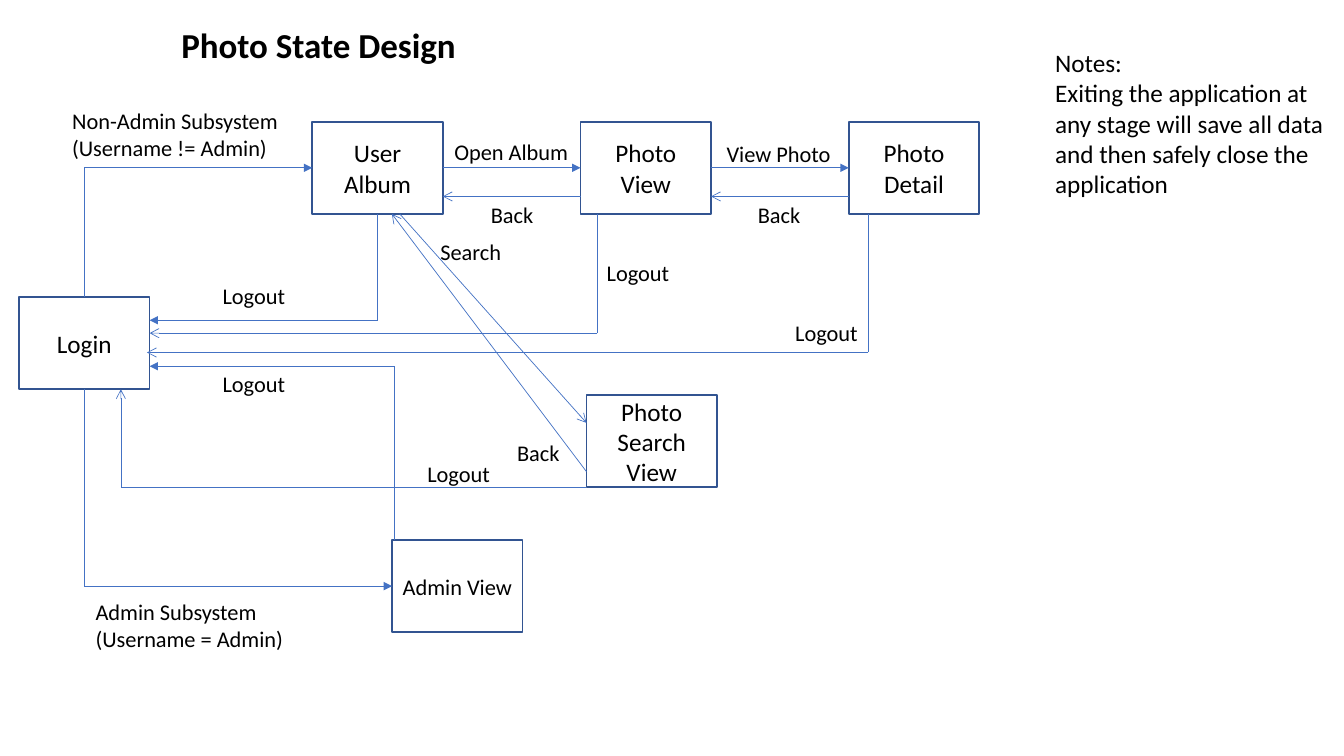
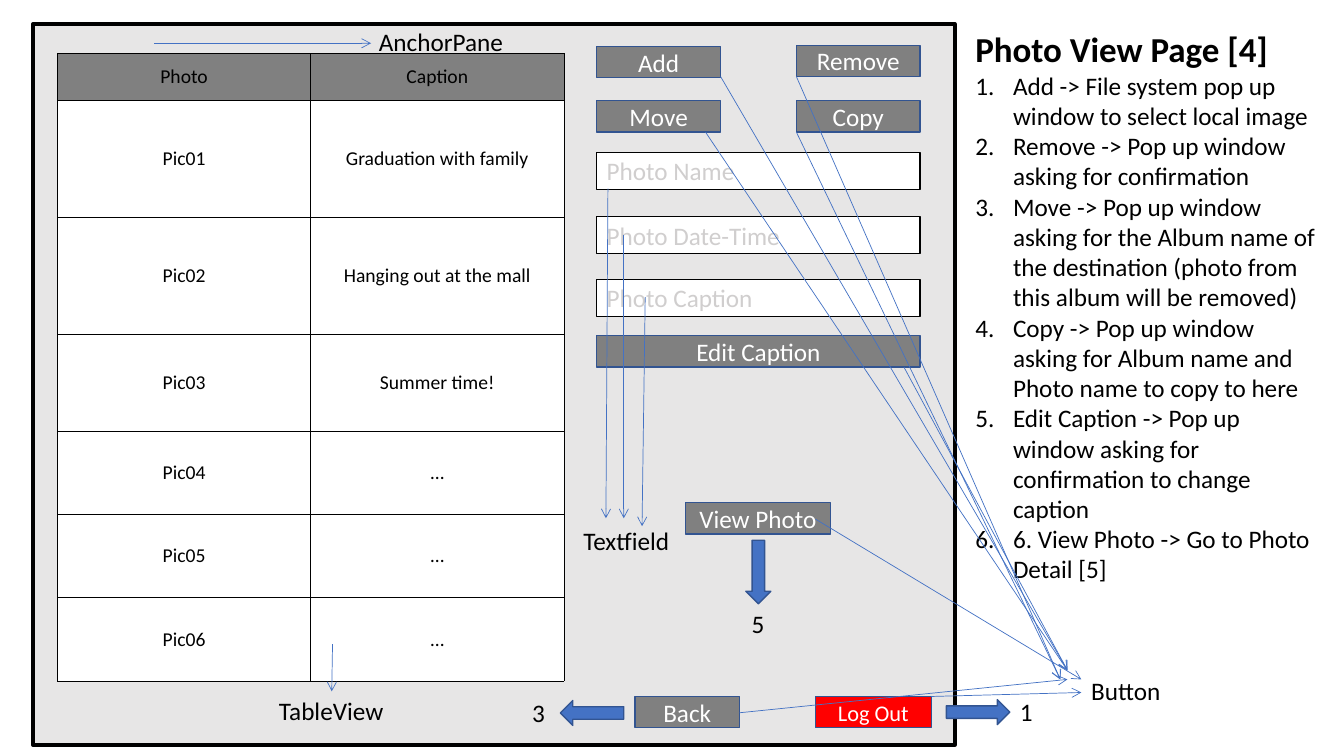
from dataclasses import dataclass
from pptx import Presentation
from pptx.dml.color import RGBColor
from pptx.enum.shapes import MSO_CONNECTOR as CONN, MSO_SHAPE as SHAPE
from pptx.enum.text import MSO_ANCHOR as ANCHOR, PP_ALIGN as ALIGN
from pptx.oxml import parse_xml
from pptx.oxml.ns import nsdecls, qn
from pptx.util import Cm, Pt


@dataclass(frozen=True)
class Theme:
    font: str = "Calibri"
    ink: str = "000000"
    paper: str = "FFFFFF"
    accent: str = "4472C4"
    edge: str = "325491"
    pane: str = "E7E6E6"
    button: str = "808080"
    danger: str = "FF0000"
    hint: str = "D0CECE"
    title: int = 25
    body: int = 18
    label: int = 16
    cell: int = 14
    box_line: float = 1.25
    thin_line: float = 0.5
    control_line: float = 1
    pane_line: float = 3


T = Theme()

STATE_TITLE = (4.32, 0.46, 9.7, 1.32, "Photo State Design")
NOTES = (26.34, 1.07, 7.32, 4.88, [
    "Notes:",
    "Exiting the application at any stage will save all data "
    "and then safely close the application",
])
BOX_W, BOX_H = 3.29, 2.32
STATES = {
    "Login": (0.48, 7.49, T.body),
    "User Album": (7.87, 3.07, T.body),
    "Photo View": (14.63, 3.07, T.body),
    "Photo Detail": (21.39, 3.07, T.body),
    "Photo Search View": (14.78, 9.96, T.body),
    "Admin View": (9.88, 13.61, T.label),
}
TRANSITIONS = [
    ("Login", 0.5, 0, "vertical", "User Album", 0, 0.5, "triangle"),
    ("Login", 0.5, 1, "vertical", "Admin View", 0, 0.5, "triangle"),
    ("Admin View", 0.02, 0, "vertical", "Login", 1, 0.75, "triangle"),
    ("User Album", 0.5, 1, "vertical", "Login", 1, 0.25, "triangle"),
    ("User Album", 1, 0.5, "straight", "Photo View", 0, 0.5, "triangle"),
    ("Photo View", 1, 0.5, "straight", "Photo Detail", 0, 0.5, "triangle"),
    ("Photo View", 0, 0.81, "straight", "User Album", 1, 0.81, "arrow"),
    ("Photo Detail", 0, 0.81, "straight", "Photo View", 1, 0.81, "arrow"),
    ("Photo View", 0.13, 1, "vertical", "Login", 1, 0.39, "arrow"),
    ("Photo Detail", 0.15, 1, "vertical", "Login", 0.98, 0.6, "arrow"),
    ("User Album", 0.67, 1, "straight", "Photo Search View", 0, 0.3, "arrow"),
    ("Photo Search View", 0, 0.83, "straight", "User Album", 0.61, 1, "arrow"),
    ("Photo Search View", 0, 1, "horizontal", "Login", 0.78, 1, "arrow"),
]
STATE_LABELS = [
    (1.57, 2.57, 5.77, ["Non-Admin Subsystem", "(Username != Admin)"]),
    (2.16, 14.94, 5.28, ["Admin Subsystem", "(Username = Admin)"]),
    (11.2, 3.35, 3.4, ["Open Album"]),
    (18.06, 3.4, 3.18, ["View Photo"]),
    (10.85, 5.87, 2.06, ["Search"]),
    *[(x, y, 1.6, ["Back"]) for x, y in
      [(12.12, 4.95), (18.85, 4.95), (12.78, 10.95)]],
    *[(x, y, 2.11, ["Logout"]) for x, y in
      [(5.36, 6.99), (5.36, 9.19), (15.04, 6.4), (19.79, 7.92), (10.52, 11.46)]],
]

PANE = (0.84, 0.61, 23.22, 18.16)
PAGE_NOTES = (24.33, 0.58, 9.22, 14.4)
PAGE_TITLE = "Photo View Page [4]"
ACTIONS = [
    "Add -> File system pop up window to select local image",
    "Remove -> Pop up window asking for confirmation",
    "Move -> Pop up window asking for the Album name of the destination "
    "(photo from this album will be removed)",
    "Copy -> Pop up window asking for Album name and Photo name to copy to here",
    "Edit Caption -> Pop up window asking for confirmation to change caption",
    "6. View Photo -> Go to Photo Detail [5]",
]
LIST_INDENT = 0.95
TABLE_X, TABLE_Y, COL_W = 1.45, 1.35, 6.38
ROW_HEIGHTS = [1.19, 2.94, 2.94, 2.44, 2.1, 2.1, 2.1]
PHOTOS = [
    ("Photo", "Caption"),
    ("Pic01", "Graduation with family"),
    ("Pic02", "Hanging out at the mall"),
    ("Pic03", "Summer time!"),
    ("Pic04", "…"),
    ("Pic05", "…"),
    ("Pic06", "…"),
]
FORM_X, FORM_W, RIGHT_X, SMALL_W = 15.04, 8.15, 20.07, 3.12
BUTTON_H, FIELD_H = 0.79, 0.93
BUTTONS = [
    ("Add", FORM_X, 1.17, SMALL_W, T.button, T.body),
    ("Remove", RIGHT_X, 1.14, SMALL_W, T.button, T.body),
    ("Move", FORM_X, 2.54, SMALL_W, T.button, T.body),
    ("Copy", RIGHT_X, 2.54, SMALL_W, T.button, T.body),
    ("Edit Caption", FORM_X, 8.46, FORM_W, T.button, T.body),
    ("View Photo", 17.27, 12.67, 3.66, T.button, T.body),
    ("Back", 16, 17.55, 2.64, T.button, T.body),
    ("Log Out", 20.55, 17.55, 2.92, T.danger, T.label),
]
FIELDS = [("Photo Name", 3.84), ("Photo Date-Time", 5.46), ("Photo Caption", 7.04)]
ARROW_W, ARROW_H = 1.6, 0.63
PAGE_ARROWS = [(18.31, 14.1, 90), (23.85, 17.63, 0), (14.12, 17.65, 180)]
PAGE_LABELS = [
    ("5", 18.69, 15.21, 0.84),
    ("1", 25.45, 17.42, 1.04),
    ("3", 13.16, 17.45, 1.04),
    ("Button", 27.25, 16.89, 3.1),
    ("Textfield", 14.45, 13.11, 3.1),
    ("TableView", 6.78, 17.4, 3.71),
    ("AnchorPane", 9.3, 0.53, 5.49),
]
POINTERS = [
    ((20.55, 13.08), (27.25, 17.12)),
    ((23.47, 17.55), (27.25, 17.45)),
    ((18.64, 17.96), (26.9, 17.12)),
    ((22.78, 9.25), (26.9, 16.89)),
    ((17.78, 3.33), (26.9, 16.89)),
    ((18.16, 1.93), (26.9, 16.89)),
    ((20.07, 1.93), (26.72, 17.12)),
    ((20.07, 3.33), (26.72, 17.12)),
    ((15.32, 4.75), (15.27, 13.06)),
    ((15.72, 5.92), (15.72, 13.06)),
    ((16.26, 7.49), (16.18, 13.26)),
    ((8.38, 16.23), (8.36, 17.42)),
    ((3.89, 1.09), (9.35, 1.09)),
]


def rgb(value):
    return RGBColor.from_string(value)


def style(p, size, color=T.ink, bold=False, align=ALIGN.LEFT):
    p.alignment = align
    for r in p.runs:
        r.font.name, r.font.size, r.font.bold = T.font, Pt(size), bold
        r.font.color.rgb = rgb(color)


def add_text(s, x, y, w, h, lines, size, bold=False, wrap=True):
    tf = s.shapes.add_textbox(Cm(x), Cm(y), Cm(w), Cm(h)).text_frame
    tf.word_wrap = wrap
    tf.text = "\n".join(lines)
    for p in tf.paragraphs:
        style(p, size, bold=bold)
    return tf


def add_title(s, x, y, w, h, text):
    return add_text(s, x, y, w, h, [text], T.title, bold=True)


def add_box(s, x, y, w, h, fill, line, width, text="", size=T.body,
            color=T.ink, align=ALIGN.CENTER, kind=SHAPE.RECTANGLE):
    sp = s.shapes.add_shape(kind, Cm(x), Cm(y), Cm(w), Cm(h))
    sp.shadow.inherit = False
    sp.fill.solid()
    sp.fill.fore_color.rgb = rgb(fill)
    sp.line.color.rgb = rgb(line)
    sp.line.width = Pt(width)
    if text:
        tf = sp.text_frame
        tf.word_wrap = True
        tf.vertical_anchor = ANCHOR.MIDDLE
        tf.text = text
        style(tf.paragraphs[0], size, color, align=align)
    return sp


def add_route(s, points, head="arrow"):
    for i, (a, b) in enumerate(zip(points, points[1:]), 2):
        cx = s.shapes.add_connector(CONN.STRAIGHT, *map(Cm, a + b))
        cx.line.color.rgb = rgb(T.accent)
        cx.line.width = Pt(T.thin_line)
        sp_pr = cx._element.spPr
        if i == len(points):
            sp_pr.find(qn("a:ln")).append(
                parse_xml(f'<a:tailEnd {nsdecls("a")} type="{head}"/>'))
        sp_pr.append(parse_xml(f'<a:effectLst {nsdecls("a")}/>'))


def anchor(state, fx, fy):
    x, y, _ = STATES[state]
    return x + fx * BOX_W, y + fy * BOX_H


def number(p):
    p_pr = p._p.get_or_add_pPr()
    p_pr.set("marL", str(Cm(LIST_INDENT)))
    p_pr.set("indent", str(-Cm(LIST_INDENT)))
    p_pr.append(parse_xml(f'<a:buFont {nsdecls("a")} typeface="+mj-lt"/>'))
    p_pr.append(parse_xml(f'<a:buAutoNum {nsdecls("a")} type="arabicPeriod"/>'))


def add_photo_table(s):
    table = s.shapes.add_table(
        len(PHOTOS), 2, Cm(TABLE_X), Cm(TABLE_Y),
        Cm(2 * COL_W), Cm(sum(ROW_HEIGHTS))).table
    table.horz_banding = False
    for col in table.columns:
        col.width = Cm(COL_W)
    for i, (height, values) in enumerate(zip(ROW_HEIGHTS, PHOTOS)):
        table.rows[i].height = Cm(height)
        for j, value in enumerate(values):
            cell = table.cell(i, j)
            cell.text = value
            cell.vertical_anchor = ANCHOR.MIDDLE
            style(cell.text_frame.paragraphs[0], T.cell, align=ALIGN.CENTER)
            tc_pr = cell._tc.get_or_add_tcPr()
            for side in "LRTB":
                tc_pr.append(parse_xml(
                    f'<a:ln{side} {nsdecls("a")} w="{Pt(T.thin_line)}"><a:solidFill>'
                    f'<a:srgbClr val="{T.ink}"/></a:solidFill></a:ln{side}>'))
            cell.fill.solid()
            cell.fill.fore_color.rgb = rgb(T.paper if i else T.button)


def build_state_design(s):
    add_title(s, *STATE_TITLE)
    add_text(s, *NOTES, T.body)
    for name, (x, y, size) in STATES.items():
        add_box(s, x, y, BOX_W, BOX_H, T.paper, T.edge, T.box_line, name, size)
    for source, sx, sy, bend, target, tx, ty, head in TRANSITIONS:
        a, b = anchor(source, sx, sy), anchor(target, tx, ty)
        corner = {"vertical": [(a[0], b[1])], "horizontal": [(b[0], a[1])],
                  "straight": []}[bend]
        add_route(s, [a, *corner, b], head)
    for x, y, w, lines in STATE_LABELS:
        add_text(s, x, y, w, 0.25 + 0.69 * len(lines), lines, T.label, wrap=False)


def build_photo_view(s):
    add_box(s, *PANE, T.pane, T.ink, T.pane_line)
    tf = add_title(s, *PAGE_NOTES, PAGE_TITLE)
    for action in ACTIONS:
        p = tf.add_paragraph()
        p.text = action
        style(p, T.body)
        number(p)
    add_photo_table(s)
    for text, x, y, w, fill, size in BUTTONS:
        add_box(s, x, y, w, BUTTON_H, fill, T.edge, T.control_line, text, size, T.paper)
    for text, y in FIELDS:
        add_box(s, FORM_X, y, FORM_W, FIELD_H, T.paper, T.ink, T.control_line,
                text, color=T.hint, align=ALIGN.LEFT)
    for x, y, turn in PAGE_ARROWS:
        add_box(s, x, y, ARROW_W, ARROW_H, T.accent, T.edge, T.control_line,
                kind=SHAPE.RIGHT_ARROW).rotation = turn
    for a, b in POINTERS:
        add_route(s, [a, b])
    for text, x, y, w in PAGE_LABELS:
        add_text(s, x, y, w, 1.02, [text], T.body)


prs = Presentation()
prs.slide_width, prs.slide_height = Cm(33.87), Cm(19.05)
for build in (build_state_design, build_photo_view):
    build(prs.slides.add_slide(prs.slide_layouts[6]))
prs.save("out.pptx")
